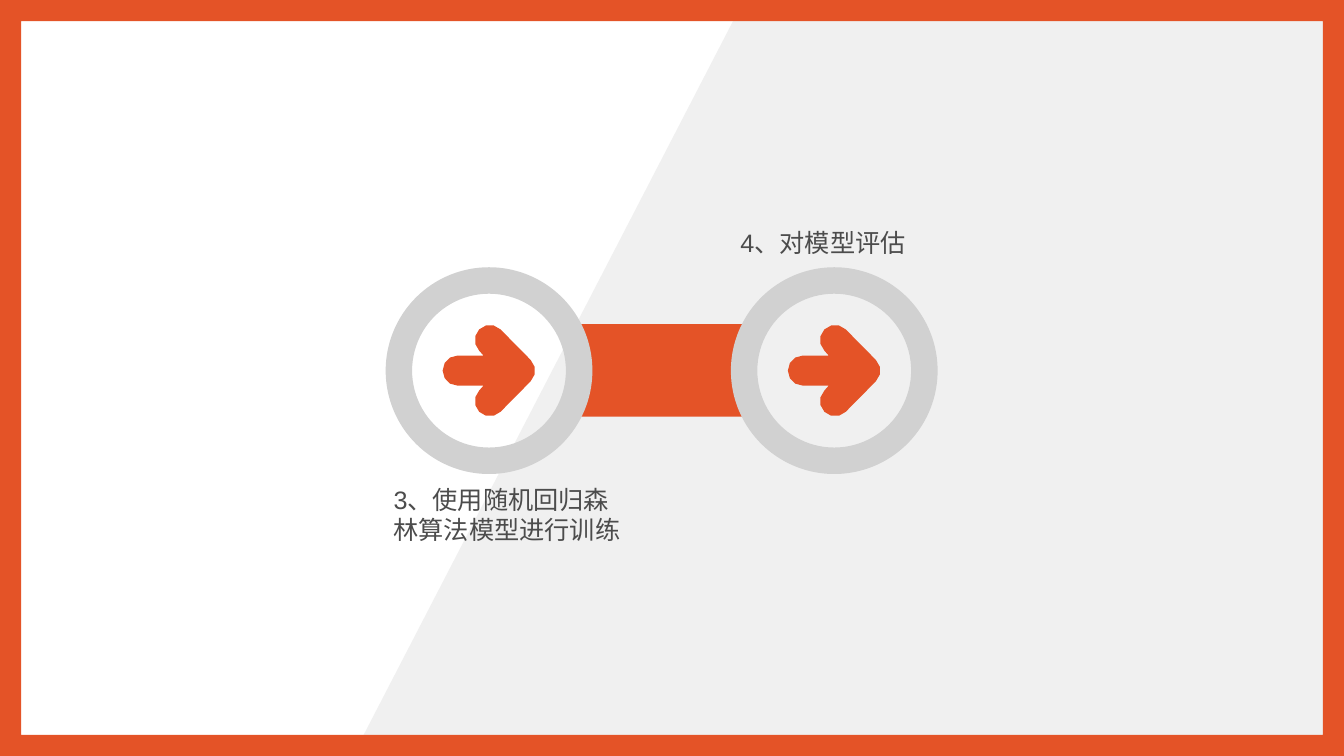
from dataclasses import dataclass
from math import cos, radians, sin

from pptx import Presentation
from pptx.dml.color import RGBColor
from pptx.enum.shapes import MSO_SHAPE
from pptx.enum.text import MSO_ANCHOR
from pptx.shapes.autoshape import Shape
from pptx.slide import Slide
from pptx.util import Cm, Pt

ORANGE, GREY, PALE, INK = "E45327", "D1D1D1", "F0F0F0", "4C4C4C"
WIDE, HIGH = 33.87, 19.05
RING = 5.21     # ring diameter
MID = 9.34      # height of the ring centres
CAP = 0.38      # radius of the arrow's round ends

Point = tuple[float, float]


@dataclass
class Label:
    left: float
    top: float
    wide: float
    high: float
    text: str
    line: float = 1.0
    gap: float = 0


@dataclass
class Step:
    left: float
    label: Label


STEPS = [
    Step(9.72, Label(9.67, 12.07, 6.4, 1.8, "3、使用随机回归森林算法模型进行训练")),
    Step(18.42, Label(18.41, 5.46, 5.92, 1.09, "4、对模型评估", 1.2, 2)),
]


def color(code: str) -> RGBColor:
    return RGBColor.from_string(code)


def paint(shape: Shape, code: str) -> None:
    shape.shadow.inherit = False
    shape.fill.solid()
    shape.fill.fore_color.rgb = color(code)
    shape.line.fill.background()


def add_form(slide: Slide, kind: MSO_SHAPE, left: float, top: float,
             wide: float, high: float, code: str) -> Shape:
    form = slide.shapes.add_shape(kind, Cm(left), Cm(top), Cm(wide), Cm(high))
    paint(form, code)
    return form


def add_poly(slide: Slide, points: list[Point], code: str) -> None:
    first, *rest = [(Cm(x), Cm(y)) for x, y in points]
    pen = slide.shapes.build_freeform(*first)
    pen.add_line_segments(rest, close=True)
    paint(pen.convert_to_shape(), code)


def arc(x: float, y: float, start: int, end: int) -> list[Point]:
    """Points on a round end, every 30 degrees."""
    turns = [radians(a) for a in range(start, end + 1, 30)]
    return [(x + CAP * cos(t), y + CAP * sin(t)) for t in turns]


def add_arrow(slide: Slide, x: float, y: float) -> None:
    notch = x - 0.14
    points = [
        *arc(x + 0.78, y, -45, 45),            # tip
        *arc(x + 0.02, y + 0.77, 45, 225),     # lower barb
        (notch, y + CAP),
        *arc(x - 0.79, y, 90, 270),            # tail
        (notch, y - CAP),
        *arc(x + 0.02, y - 0.77, 135, 315),    # upper barb
    ]
    add_poly(slide, points, ORANGE)


def add_label(slide: Slide, label: Label) -> None:
    box = slide.shapes.add_textbox(Cm(label.left), Cm(label.top),
                                   Cm(label.wide), Cm(label.high))
    frame = box.text_frame
    frame.word_wrap = True
    frame.vertical_anchor = MSO_ANCHOR.TOP
    para = frame.paragraphs[0]
    para.line_spacing = label.line
    para.space_before = para.space_after = Pt(label.gap)
    run = para.add_run()
    run.text = label.text
    run.font.name = "Arial"
    run.font.size = Pt(18)
    run.font.color.rgb = color(INK)


def main() -> None:
    deck = Presentation()
    deck.slide_width, deck.slide_height = Cm(WIDE), Cm(HIGH)
    slide = deck.slides.add_slide(deck.slide_layouts[6])

    # Backdrop: slanted panel and border
    add_poly(slide, [(18.75, 0), (WIDE, 0), (WIDE, HIGH), (8.89, HIGH)], PALE)
    border = add_form(slide, MSO_SHAPE.FRAME, 0, 0, WIDE, HIGH, ORANGE)
    border.adjustments[0] = 0.028

    # Bar between the rings
    add_form(slide, MSO_SHAPE.RECTANGLE, 14.55, 8.17, 4.34, 2.33, ORANGE)

    # Steps: ring, arrow and label
    for step in STEPS:
        ring = add_form(slide, MSO_SHAPE.DONUT, step.left, MID - RING / 2,
                        RING, RING, GREY)
        ring.adjustments[0] = 0.128
        add_arrow(slide, step.left + RING / 2, MID)
        add_label(slide, step.label)

    deck.save("out.pptx")


if __name__ == "__main__":
    main()
